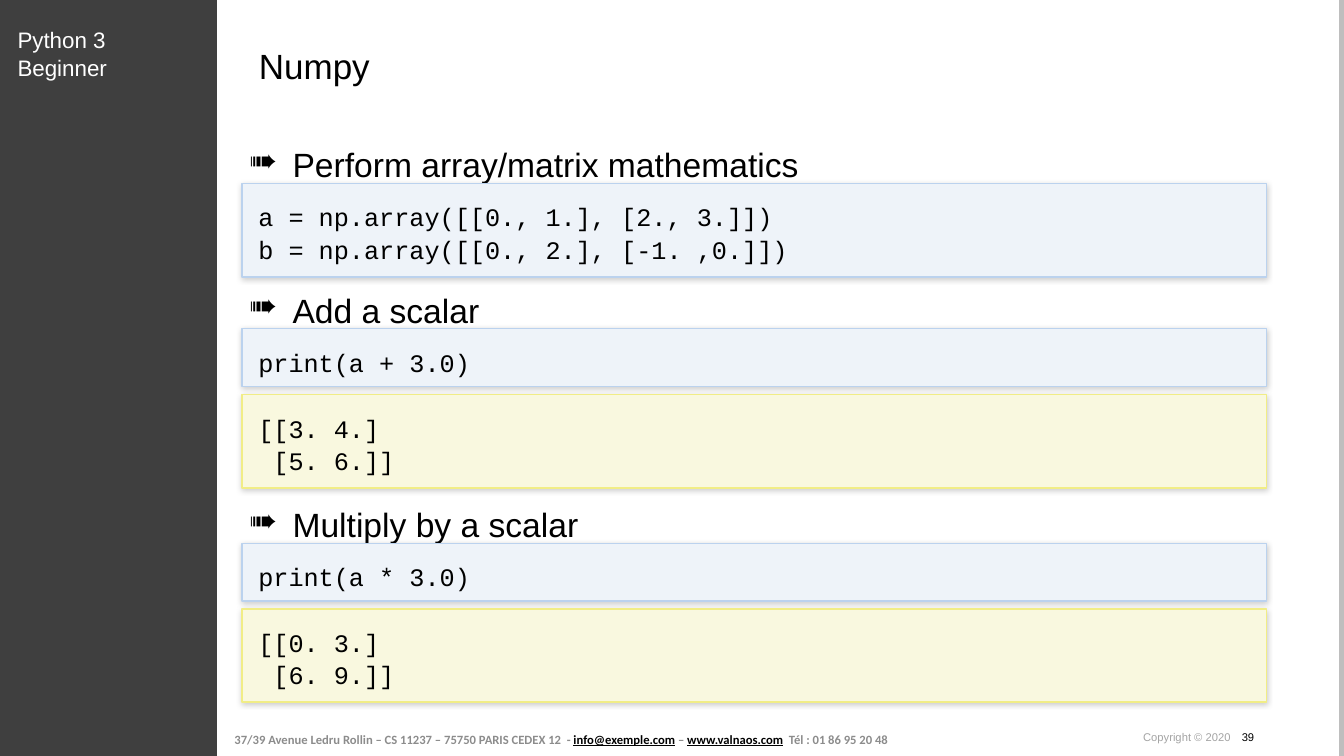
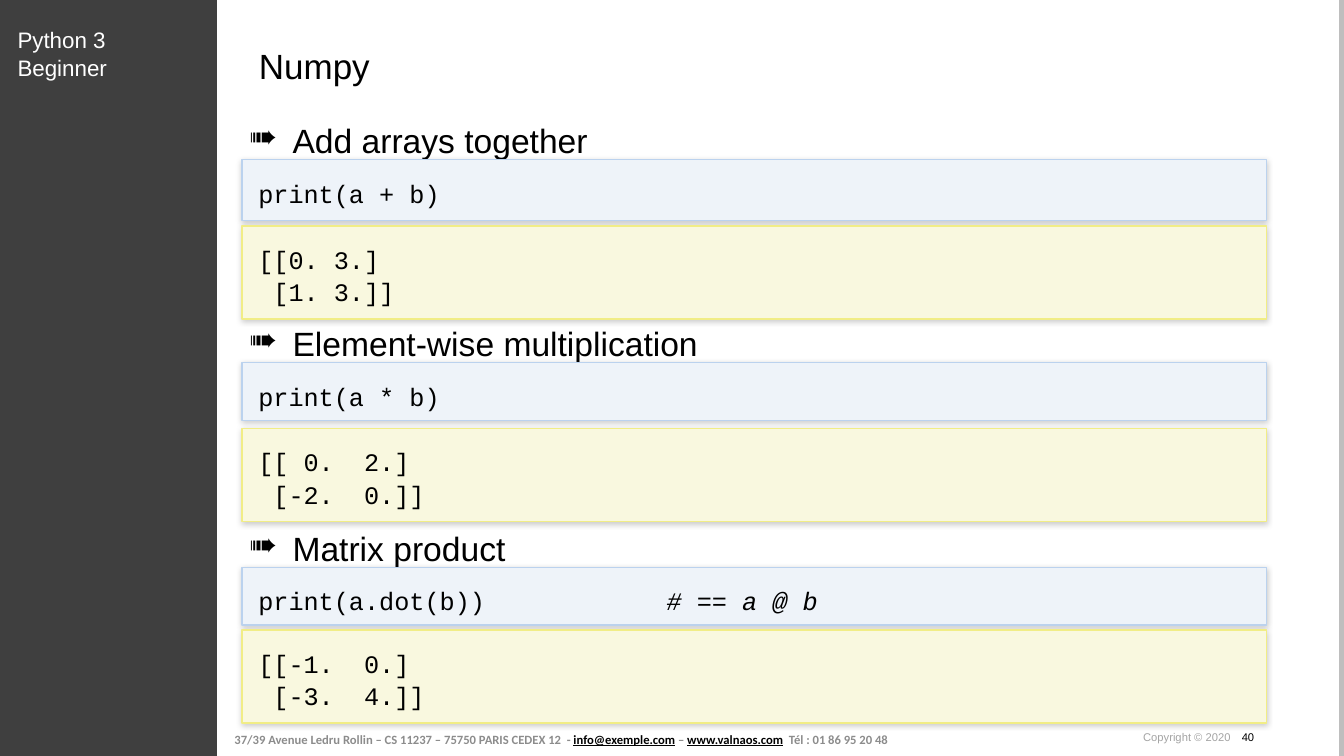
from lxml.etree import SubElement
from pptx import Presentation
from pptx.dml.color import RGBColor
from pptx.enum.shapes import MSO_CONNECTOR, MSO_SHAPE
from pptx.enum.text import MSO_ANCHOR
from pptx.oxml.ns import qn
from pptx.util import Pt

# Shared look
SIDEBAR, EDGE = "3F3F3F", "BEBEBE"
BLACK, WHITE, GREY, PALE_GREY = "000000", "FFFFFF", "8C8C8C", "A4A4A4"
CODE_COLOURS = ("EEF3F9", "BBD2EE")
OUTPUT_COLOURS = ("F9F8DF", "F1ED86")
PANEL_LEFT, PANEL_WIDTH, OUTPUT_HEIGHT = 173, 731.5, 66.5
HEADING_RISE = 29.5  # from the top of a heading to its code panel

# Each topic: heading, code top, code height, code lines, output top, output lines.
# A line is a list of (text, format) runs or plain text.
PAGES = [
    (39, [
        ("Perform array/matrix mathematics", 131, 67,
         ["a = np.array([[0., 1.], [2., 3.]])", "b = np.array([[0., 2.], [-1. ,0.]])"],
         None, []),
        ("Add a scalar", 234.8, 41.2, ["print(a + 3.0)"],
         282, ["[[3. 4.]", " [5. 6.]]"]),
        ("Multiply by a scalar", 388, 41.2, ["print(a * 3.0)"],
         435, ["[[0. 3.]", " [6. 9.]]"]),
    ]),
    (40, [
        ("Add arrays together", 114, 43.5, ["print(a + b)"],
         161.5, ["[[0. 3.]", " [1. 3.]]"]),
        ("Element-wise multiplication", 259, 41.2, ["print(a * b)"],
         306, ["[[ 0.  2.]", " [-2.  0.]]"]),
        ("Matrix product", 405.3, 41.2,
         [[("print(a.dot(b))            ", {}), ("# == a @ b", {"italic": True})]],
         450, ["[[-1.  0.]", " [-3.  4.]]"]),
    ]),
]


def colour(hex_value):
    return RGBColor.from_string(hex_value)


def write(shape, lines, size, font="Arial", ink=BLACK, bold=False, inset=(0, 0),
          anchor=MSO_ANCHOR.TOP, spacing=None, bullet=None, tab=None):
    """Fill a shape with lines; each line is text or a list of (text, format) runs."""
    frame = shape.text_frame
    frame.word_wrap = True
    frame.vertical_anchor = anchor
    frame.margin_left = frame.margin_right = Pt(inset[0])
    frame.margin_top = frame.margin_bottom = Pt(inset[1])
    for number, line in enumerate(lines):
        paragraph = frame.add_paragraph() if number else frame.paragraphs[0]
        properties = paragraph._p.get_or_add_pPr()
        properties.set("algn", "l")
        if spacing:
            paragraph.line_spacing = spacing
        if bullet:
            properties.set("marL", str(Pt(31)))
            properties.set("indent", str(-Pt(31)))
            SubElement(properties, qn("a:buChar"), char=bullet)
        if tab:
            stops = SubElement(properties, qn("a:tabLst"))
            SubElement(stops, qn("a:tab"), pos=str(Pt(tab)), algn="l")
        for text, style in [(line, {})] if isinstance(line, str) else line:
            run = paragraph.add_run()
            run.text = text
            run.font.name = font
            run.font.size = Pt(size)
            run.font.bold = bold
            run.font.italic = style.get("italic", False)
            run.font.underline = style.get("underline", False)
            run.font.color.rgb = colour(style.get("ink", ink))


deck = Presentation()
deck.slide_width, deck.slide_height = Pt(960), Pt(540)

for page_number, topics in PAGES:
    slide = deck.slides.add_slide(deck.slide_layouts[6])
    shapes = slide.shapes

    # Right edge and sidebar
    edge = shapes.add_connector(MSO_CONNECTOR.STRAIGHT, Pt(958.3), Pt(0), Pt(958.3), Pt(540))
    edge.line.color.rgb = colour(EDGE)
    edge.line.width = Pt(3.34)
    SubElement(edge._element.spPr, qn("a:effectLst"))
    sidebar = shapes.add_shape(MSO_SHAPE.RECTANGLE, Pt(0), Pt(0), Pt(155), Pt(540))
    sidebar.shadow.inherit = False
    sidebar.fill.solid()
    sidebar.fill.fore_color.rgb = colour(SIDEBAR)
    sidebar.line.fill.background()

    # Course name, title and footer
    course = shapes.add_textbox(Pt(12.5), Pt(17.5), Pt(110), Pt(39))
    write(course, ["Python 3 Beginner"], 16, ink=WHITE, spacing=1.05)
    title = shapes.add_textbox(Pt(185), Pt(30), Pt(713), Pt(30))
    write(title, ["Numpy"], 25, spacing=1.05)
    address = shapes.add_textbox(Pt(162), Pt(516.5), Pt(481), Pt(23))
    link = {"ink": BLACK, "underline": True}
    write(address, [[
        ("37/39 Avenue Ledru Rollin – CS 11237 – 75750 PARIS CEDEX 12  - ", {}),
        ("info@exemple.com", link), (" – ", {}), ("www.valnaos.com", link),
        ("  Tél : 01 86 95 20 48", {}),
    ]], 9, font="Calibri", ink=GREY, bold=True, inset=(5.5, 3), anchor=MSO_ANCHOR.MIDDLE)
    rights = shapes.add_textbox(Pt(816.5), Pt(522), Pt(123), Pt(9.5))
    write(rights, [[("Copyright © 2020\t", {}), (str(page_number), {"ink": BLACK})]],
          8, ink=PALE_GREY, tab=70.5)

    # Topics: heading, code panel, output panel
    for heading, code_top, code_height, code, output_top, output in topics:
        topic = shapes.add_textbox(Pt(178), Pt(code_top - HEADING_RISE), Pt(720), Pt(29))
        write(topic, [heading], 24, spacing=1.05, bullet="➠")
        panels = [(code_top, code_height, code, CODE_COLOURS)]
        if output:
            panels.append((output_top, OUTPUT_HEIGHT, output, OUTPUT_COLOURS))
        for top, height, lines, (fill, border) in panels:
            panel = shapes.add_shape(MSO_SHAPE.RECTANGLE, Pt(PANEL_LEFT), Pt(top),
                                     Pt(PANEL_WIDTH), Pt(height))
            panel.fill.solid()
            panel.fill.fore_color.rgb = colour(fill)
            panel.line.color.rgb = colour(border)
            panel.line.width = Pt(1)
            # Soft shadow straight below
            panel.shadow.inherit = False
            effects = panel._element.spPr.find(qn("a:effectLst"))
            shadow = SubElement(effects, qn("a:outerShdw"), blurRad=str(Pt(4)),
                                dist=str(Pt(1)), dir="5400000", rotWithShape="0")
            tint = SubElement(shadow, qn("a:srgbClr"), val=BLACK)
            SubElement(tint, qn("a:alpha"), val="20000")
            write(panel, lines, 18, font="Courier New", inset=(11.5, 11.5), spacing=1.07)

deck.save("out.pptx")
